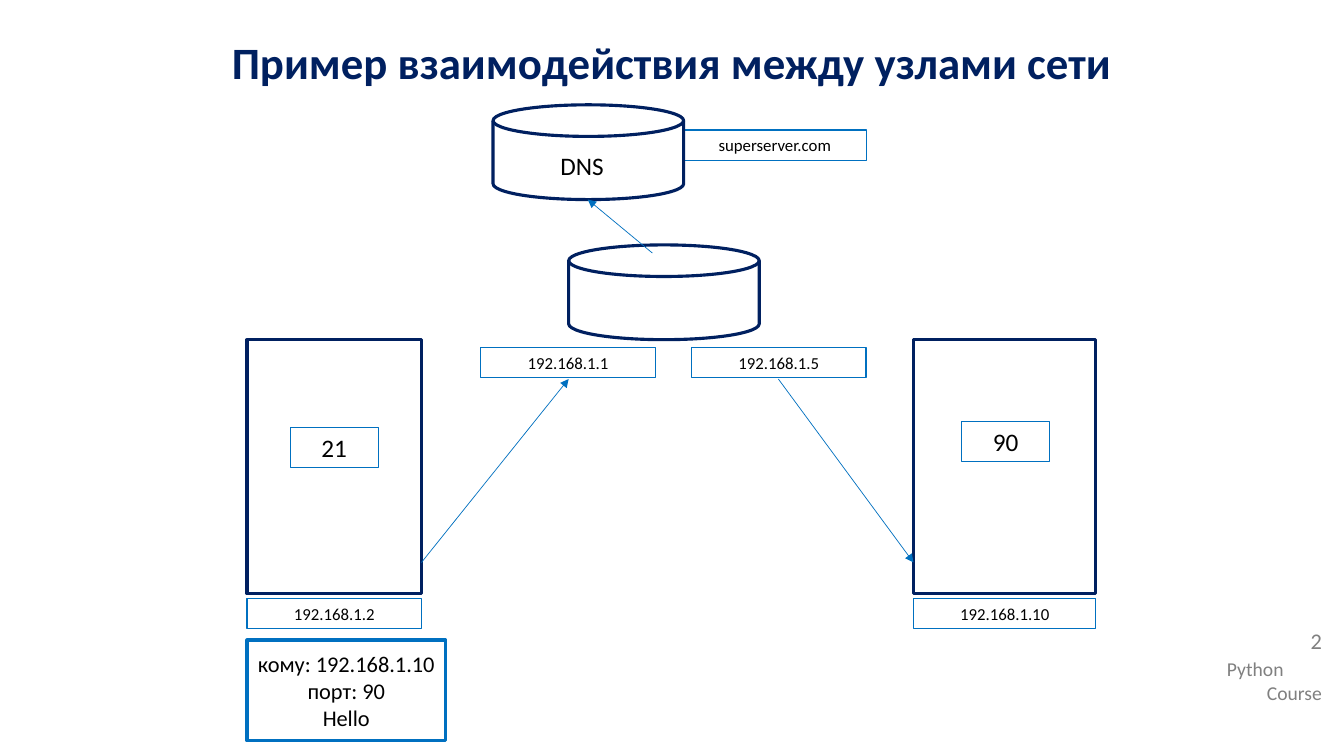
from dataclasses import dataclass

from lxml import etree
from pptx import Presentation
from pptx.dml.color import RGBColor
from pptx.enum.shapes import MSO_CONNECTOR, MSO_SHAPE
from pptx.enum.text import MSO_ANCHOR, PP_ALIGN
from pptx.oxml.ns import qn
from pptx.util import Inches, Pt

RECT = MSO_SHAPE.RECTANGLE
DISK = MSO_SHAPE.FLOWCHART_MAGNETIC_DISK
STRAIGHT = MSO_CONNECTOR.STRAIGHT
LEFT, CENTER, RIGHT = PP_ALIGN.LEFT, PP_ALIGN.CENTER, PP_ALIGN.RIGHT
TOP, MIDDLE = MSO_ANCHOR.TOP, MSO_ANCHOR.MIDDLE


@dataclass(frozen=True)
class Theme:
    font: str = "Calibri"
    navy: str = "002060"
    blue: str = "0070C0"
    black: str = "000000"
    gray: str = "808080"
    title: int = 32
    port: int = 18
    body: int = 16
    footer: int = 14
    address: int = 12
    thick: float = 2.25
    thin: float = 0.75
    arrow: float = 0.5


T = Theme()
ADDRESS_H = 0.3
PORT_W, PORT_H = 0.87, 0.4
DISK_W, DISK_H = 1.89, 0.94


def rgb(color):
    return RGBColor.from_string(color)


def write(tf, text, size=T.body, color=T.black, bold=False, aligns=(CENTER,),
          anchor=TOP, wrap=True):
    """Fill a text frame, one paragraph a line; the last alignment repeats."""
    tf.word_wrap = wrap
    tf.vertical_anchor = anchor
    for i, line in enumerate(text.split("\n")):
        p = tf.paragraphs[0] if i == 0 else tf.add_paragraph()
        p.alignment = aligns[min(i, len(aligns) - 1)]
        r = p.add_run()
        r.text = line
        r.font.name = T.font
        r.font.size = Pt(size)
        r.font.bold = bold
        r.font.color.rgb = rgb(color)


def add_text(s, x, y, w, h, text, **fmt):
    tb = s.shapes.add_textbox(Inches(x), Inches(y), Inches(w), Inches(h))
    write(tb.text_frame, text, **fmt)
    return tb


def add_outline(s, kind, x, y, w, h, color=T.navy, width=T.thick):
    sp = s.shapes.add_shape(kind, Inches(x), Inches(y), Inches(w), Inches(h))
    sp.shadow.inherit = False
    sp.fill.background()
    sp.line.color.rgb = rgb(color)
    sp.line.width = Pt(width)
    return sp


def add_label(s, x, y, w, h, text, width=T.thin, **fmt):
    sp = add_outline(s, RECT, x, y, w, h, T.blue, width)
    write(sp.text_frame, text, **fmt)


def add_address(s, x, y, w, text):
    add_label(s, x, y, w, ADDRESS_H, text, size=T.address)


def add_arrow(s, x1, y1, x2, y2):
    cn = s.shapes.add_connector(STRAIGHT, Inches(x1), Inches(y1), Inches(x2), Inches(y2))
    cn.line.color.rgb = rgb(T.blue)
    cn.line.width = Pt(T.arrow)
    ln = cn.line._get_or_add_ln()
    etree.SubElement(ln, qn("a:tailEnd"), type="triangle")
    etree.SubElement(cn._element.spPr, qn("a:effectLst"))


def add_title(s, x, y, w, h):
    tb = add_text(s, x, y, w, h, "Пример взаимодействия между узлами сети",
                  size=T.title, color=T.navy, bold=True, anchor=MIDDLE)
    p = tb.text_frame.paragraphs[0]
    p.space_before = p.space_after = Pt(5)


def add_footer(s, x, y, w):
    add_text(s, x, y + 0.27, w, 0.57, "Python\nCourse", size=T.footer,
             color=T.gray, aligns=(LEFT, RIGHT))
    tb = add_text(s, x, y, w, 0.45, "2", size=T.body, color=T.gray,
                  aligns=(RIGHT,))
    p = tb.text_frame.paragraphs[0]
    p.line_spacing = 0.9
    p.space_before = Pt(10)


def add_host(s, x, y, w, h, port, port_dx, port_dy, address):
    """A computer with its open port inside and its address below."""
    add_outline(s, RECT, x, y, w, h)
    add_label(s, x + port_dx, y + port_dy, PORT_W, PORT_H, port, size=T.port)
    add_address(s, x, y + h + 0.05, w, address)


def add_router(s, x, y):
    """A router with one address on each side."""
    add_outline(s, DISK, x, y, DISK_W, DISK_H)
    for dx, address in ((-0.87, "192.168.1.1"), (1.22, "192.168.1.5")):
        add_address(s, x + dx, y + DISK_H + 0.08, 1.73, address)


def add_dns(s, x, y):
    """The name server and the name it resolves."""
    add_address(s, x + DISK_W, y + 0.25, 1.81, "superserver.com")
    add_outline(s, DISK, x, y, DISK_W, DISK_H)
    add_text(s, x + 0.57, y + 0.4, 0.76, 0.4, "DNS", size=T.port,
             aligns=(LEFT,), wrap=False)


def add_network(s, x, y):
    """The whole diagram, placed from its top left corner."""
    host_y, host_h = y + 2.33, 2.52
    add_host(s, x, host_y, 1.73, host_h, "21", 0.43, 0.87, "192.168.1.2")
    add_host(s, x + 6.61, host_y, 1.81, host_h, "90", 0.48, 0.81, "192.168.1.10")
    add_router(s, x + 3.19, y + 1.39)
    add_dns(s, x + 2.44, y)
    add_label(s, x, y + 5.31, 1.97, 1, "кому: 192.168.1.10\nпорт: 90\nHello",
              width=T.thick, anchor=MIDDLE)

    # Path of the message, then the name lookup
    for x1, y1, x2, y2 in ((1.73, 4.54, 3.19, 2.72),
                           (5.27, 2.72, 6.61, 4.54),
                           (4.02, 1.47, 3.38, 0.94)):
        add_arrow(s, x + x1, y + y1, x + x2, y + y2)


def main():
    prs = Presentation()
    prs.slide_width, prs.slide_height = Inches(13.33), Inches(7.5)
    s = prs.slides.add_slide(prs.slide_layouts[6])
    add_footer(s, 12.07, 6.2, 1.14)
    add_title(s, 0, 0.23, 13.33, 0.76)
    add_network(s, 2.45, 1.04)
    prs.save("out.pptx")


if __name__ == "__main__":
    main()
